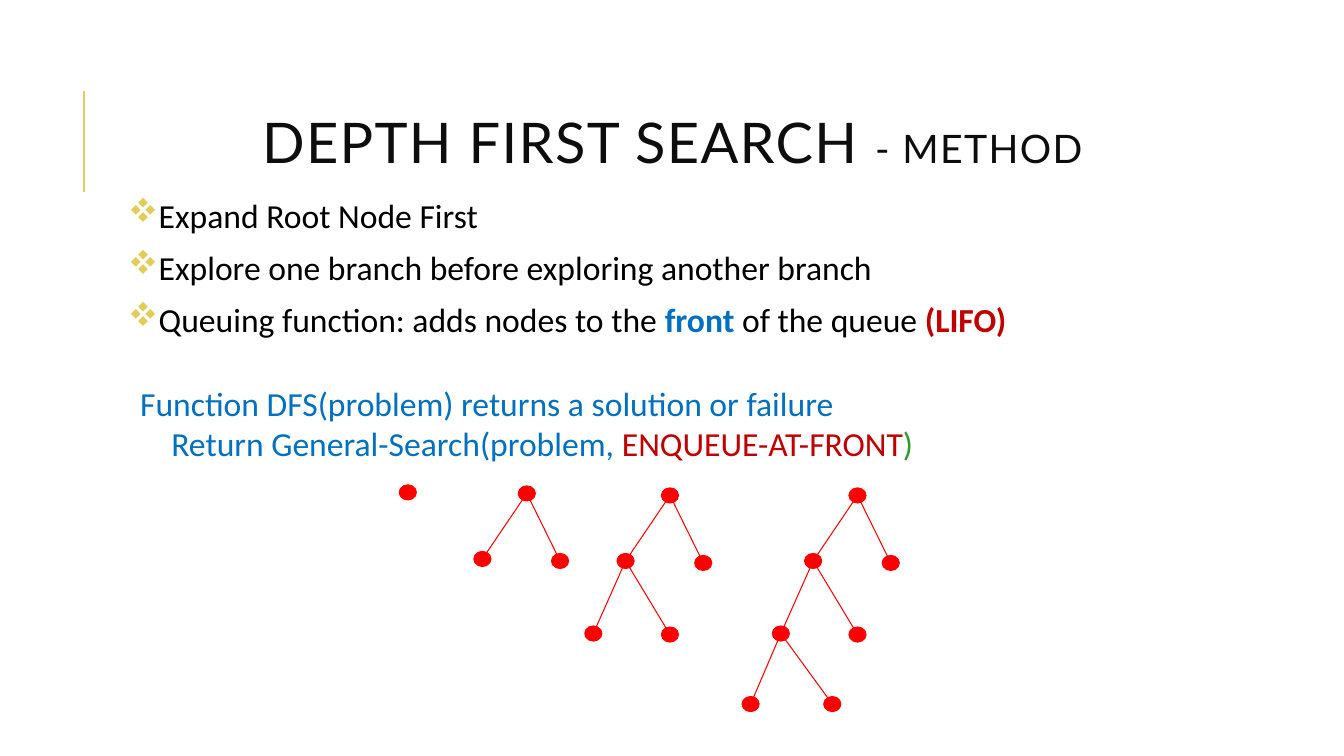
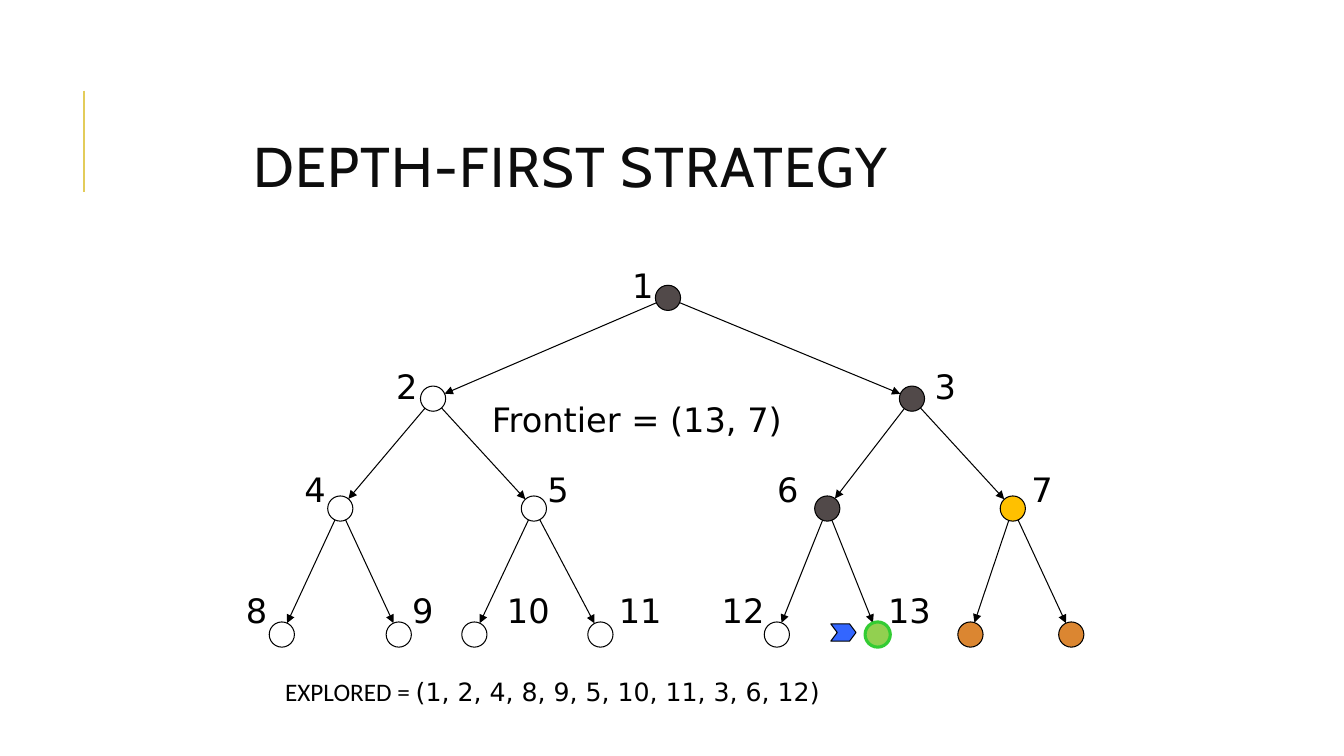
import math

import lxml.etree
import pptx
import pptx.dml.color
import pptx.enum.dml
import pptx.enum.shapes
import pptx.enum.text
import pptx.oxml.ns
import pptx.util

SHAPE = pptx.enum.shapes.MSO_SHAPE
FIT = pptx.enum.text.MSO_AUTO_SIZE

THEME = {
    "black": "000000", "white": "FFFFFF", "title": "0D0D0D", "gold": "E3CC5A",
    "blue": "0070C0", "crimson": "C00000", "green": "339933", "red": "FF0000",
    "marker": "3366FF", "title_size": 40, "subtitle_size": 28,
    "text_size": 24, "small_size": 18, "thin": 0.75, "rule": 1.5,
    "text_font": "Calibri", "label_font": "DejaVu Sans", "bullet_font": "Wingdings",
}

SLIDE_SIZE = (13.33, 7.5)
TITLE_RULE = ((0.83, 0.9), (0.83, 1.9))

METHOD_TITLE = {
    "area": (2.5, 0.64, 8.85, 1.64), "font": "Lato",
    "spans": [("DEPTH FIRST SEARCH ", "title_size"), ("- METHOD", "subtitle_size")],
}
STRATEGY_TITLE = {
    "area": (2.41, 1.08, 8.5, 1.25), "font": "Cabin",
    "spans": [("DEPTH-FIRST STRATEGY", "title_size")],
}

METHOD_AREA = (1.22, 1.96, 9.17, 2.97)
PARAGRAPH_STYLES = {
    "first": {"bullet": "v", "margin": 0.1, "indent": -0.1, "before": 0, "after": 2},
    "point": {"bullet": "v", "margin": 0.1, "indent": -0.1, "before": 12, "after": 2},
    "function": {"bullet": None, "margin": 0.12, "indent": 0, "before": 35, "after": 2},
    "body": {"bullet": None, "margin": 0.43, "indent": 0, "before": 4, "after": 4},
}
METHOD_TEXT = [
    ("first", [("Expand Root Node First", "black", False)]),
    ("point", [("Explore one branch before exploring another branch", "black", False)]),
    ("point", [("Queuing function: adds nodes to the ", "black", False),
               ("front", "blue", True),
               (" of the queue ", "black", False),
               ("(LIFO)", "crimson", True)]),
    ("function", [("Function DFS(problem) returns a solution or failure", "blue", False)]),
    ("body", [("Return General-Search(problem, ", "blue", False),
              ("ENQUEUE-AT-FRONT", "crimson", False),
              (")", "green", False)]),
]

DOT_SIZE = (0.17, 0.15)
GROWTH_STAGES = [((3.96, 4.81), 1), ((5.14, 4.82), 3), ((6.56, 4.84), 5), ((8.42, 4.84), 7)]
GROWTH_OFFSETS = [(0, 0), (-0.44, 0.65), (0.33, 0.67), (-0.76, 1.37), (0, 1.38),
                  (-1.06, 2.07), (-0.25, 2.07)]
GROWTH_PARENTS = [None, 0, 0, 1, 1, 3, 3]

NODE_SIZE = 0.25
LEVEL_TOPS = [2.83, 3.83, 4.92, 6.17]
LABEL_TOPS = [2.58, 3.58, 4.6, 5.8]
NODE_STYLES = {
    "done": ("FFFFFF", "000000", 0.75),
    "active": ("514949", "000000", 0.75),
    "frontier": ("FFC000", "000000", 0.75),
    "unseen": ("DB8631", "000000", 0.75),
    "current": ("92D050", "33CC33", 2.25),
}
NODES = {
    1: (6.5, "active", 6.17),
    2: (4.17, "done", 3.83), 3: (8.92, "active", 9.17),
    4: (3.25, "done", 2.92), 5: (5.17, "done", 5.33),
    6: (8.08, "active", 7.61), 7: (9.92, "frontier", 10.13),
    8: (2.67, "done", 2.34), 9: (3.83, "done", 3.99),
    10: (4.58, "done", 4.93), 11: (5.83, "done", 6.04),
    12: (7.58, "done", 7.06), 13: (8.58, "current", 8.71),
    14: (9.5, "unseen", None), 15: (10.5, "unseen", None),
}
CAPTIONS = [
    ((4.78, 3.91, 3.23, 0.5), "text_size", [("Frontier = (13, 7)", "label_font")]),
    ((2.73, 6.66, 6.1, 0.4), "small_size",
     [("EXPLORED = ", "text_font"),
      ("(1, 2, 4, 8, 9, 5, 10, 11, 3, 6, 12)", "label_font")]),
]
MARKER_AREA = (8.24, 6.19, 0.25, 0.17)


def inches(values):
    return [pptx.util.Inches(value) for value in values]


def rgb(value):
    return pptx.dml.color.RGBColor.from_string(value)


def set_values(target, values):
    for name, value in values.items():
        setattr(target, name, value)


def add_span(para, text, font, size, color, bold=False):
    span = para.add_run()
    span.text = text
    set_values(span.font, {"name": font, "size": pptx.util.Pt(size), "bold": bold})
    span.font.color.rgb = rgb(color)
    return span


def add_line(page, start, end, color, width=THEME["thin"], arrow=False):
    line = page.shapes.add_connector(
        pptx.enum.shapes.MSO_CONNECTOR.STRAIGHT, *inches(start), *inches(end))
    line.line.color.rgb = rgb(color)
    line.line.width = pptx.util.Pt(width)
    properties = line._element.spPr
    if arrow:
        outline = properties.find(pptx.oxml.ns.qn("a:ln"))
        lxml.etree.SubElement(outline, pptx.oxml.ns.qn("a:tailEnd"), type="triangle")
    lxml.etree.SubElement(properties, pptx.oxml.ns.qn("a:effectLst"))


def add_figure(page, kind, area, fill, outline, width=THEME["thin"]):
    figure = page.shapes.add_shape(kind, *inches(area))
    figure.shadow.inherit = False
    figure.fill.solid()
    figure.fill.fore_color.rgb = rgb(fill)
    figure.line.color.rgb = rgb(outline)
    figure.line.width = pptx.util.Pt(width)
    return figure


def add_caption(page, area, size, spans):
    box = page.shapes.add_textbox(*inches(area))
    set_values(box.text_frame, {"word_wrap": False, "auto_size": FIT.SHAPE_TO_FIT_TEXT})
    for text, font in spans:
        add_span(box.text_frame.paragraphs[0], text, THEME[font], THEME[size], THEME["black"])


def add_page(deck, heading):
    page = deck.slides.add_slide(deck.slide_layouts[5])
    add_line(page, *TITLE_RULE, THEME["gold"], THEME["rule"])
    title = page.shapes.title
    set_values(title, dict(zip(("left", "top", "width", "height"), inches(heading["area"]))))
    set_values(title.text_frame, {
        "word_wrap": True, "auto_size": FIT.NONE,
        "vertical_anchor": pptx.enum.text.MSO_ANCHOR.MIDDLE})
    para = title.text_frame.paragraphs[0]
    set_values(para, {"alignment": pptx.enum.text.PP_ALIGN.LEFT, "line_spacing": 0.8})
    for text, size in heading["spans"]:
        span = add_span(para, text, heading["font"], THEME[size], THEME["title"])
        span._r.get_or_add_rPr().set("spc", "100")
    return page


def add_method_text(page):
    frame = page.shapes.add_textbox(*inches(METHOD_AREA)).text_frame
    frame.word_wrap = True
    set_values(frame, dict.fromkeys(
        ("margin_left", "margin_top", "margin_right", "margin_bottom"), pptx.util.Inches(0.05)))
    for index, (style_name, spans) in enumerate(METHOD_TEXT):
        para = frame.add_paragraph() if index else frame.paragraphs[0]
        style = PARAGRAPH_STYLES[style_name]
        properties = para._p.get_or_add_pPr()
        properties.set("marL", str(pptx.util.Inches(style["margin"])))
        properties.set("indent", str(pptx.util.Inches(style["indent"])))
        if style["bullet"]:
            tint = lxml.etree.SubElement(properties, pptx.oxml.ns.qn("a:buClr"))
            lxml.etree.SubElement(tint, pptx.oxml.ns.qn("a:srgbClr"), val=THEME["gold"])
            lxml.etree.SubElement(properties, pptx.oxml.ns.qn("a:buFont"),
                                  typeface=THEME["bullet_font"], charset="2")
            lxml.etree.SubElement(properties, pptx.oxml.ns.qn("a:buChar"), char=style["bullet"])
        set_values(para, {
            "line_spacing": 0.8,
            "space_before": pptx.util.Pt(style["before"]),
            "space_after": pptx.util.Pt(style["after"])})
        for text, color, bold in spans:
            add_span(para, text, THEME["text_font"], THEME["text_size"], THEME[color], bold)


def add_growth_stage(page, root, count):
    corners = [(root[0] + across, root[1] + down) for across, down in GROWTH_OFFSETS[:count]]
    centers = [(left + DOT_SIZE[0] / 2, top + DOT_SIZE[1] / 2) for left, top in corners]
    for corner in corners:
        add_figure(page, SHAPE.OVAL, (*corner, *DOT_SIZE), THEME["red"], THEME["red"])
    for child in range(1, count):
        add_line(page, centers[GROWTH_PARENTS[child]], centers[child], THEME["red"])


def add_search_tree(page):
    radius = NODE_SIZE / 2
    levels = {number: int(math.log2(number)) for number in NODES}
    centers = {number: (node[0] + radius, LEVEL_TOPS[levels[number]] + radius)
               for number, node in NODES.items()}
    for number, (left, style, label_left) in NODES.items():
        level = levels[number]
        if number > 1:
            start, end = centers[number // 2], centers[number]
            reach = radius / math.dist(start, end)
            step = [(b - a) * reach for a, b in zip(start, end)]
            add_line(page, [a + s for a, s in zip(start, step)],
                     [b - s for b, s in zip(end, step)], THEME["black"], arrow=True)
        add_figure(page, SHAPE.OVAL, (left, LEVEL_TOPS[level], NODE_SIZE, NODE_SIZE),
                   *NODE_STYLES[style])
        if label_left is not None:
            text = str(number)
            add_caption(page, (label_left, LABEL_TOPS[level], 0.22 * len(text) + 0.2, 0.5),
                        "text_size", [(text, "label_font")])


def main():
    deck = pptx.Presentation()
    deck.slide_width, deck.slide_height = inches(SLIDE_SIZE)

    method_page = add_page(deck, METHOD_TITLE)
    add_method_text(method_page)
    for root, count in GROWTH_STAGES:
        add_growth_stage(method_page, root, count)

    strategy_page = add_page(deck, STRATEGY_TITLE)
    add_search_tree(strategy_page)
    for caption in CAPTIONS:
        add_caption(strategy_page, *caption)
    marker = add_figure(strategy_page, SHAPE.CHEVRON, MARKER_AREA,
                        THEME["marker"], THEME["black"])
    marker.adjustments[0] = 0.375

    deck.save("out.pptx")


if __name__ == "__main__":
    main()
